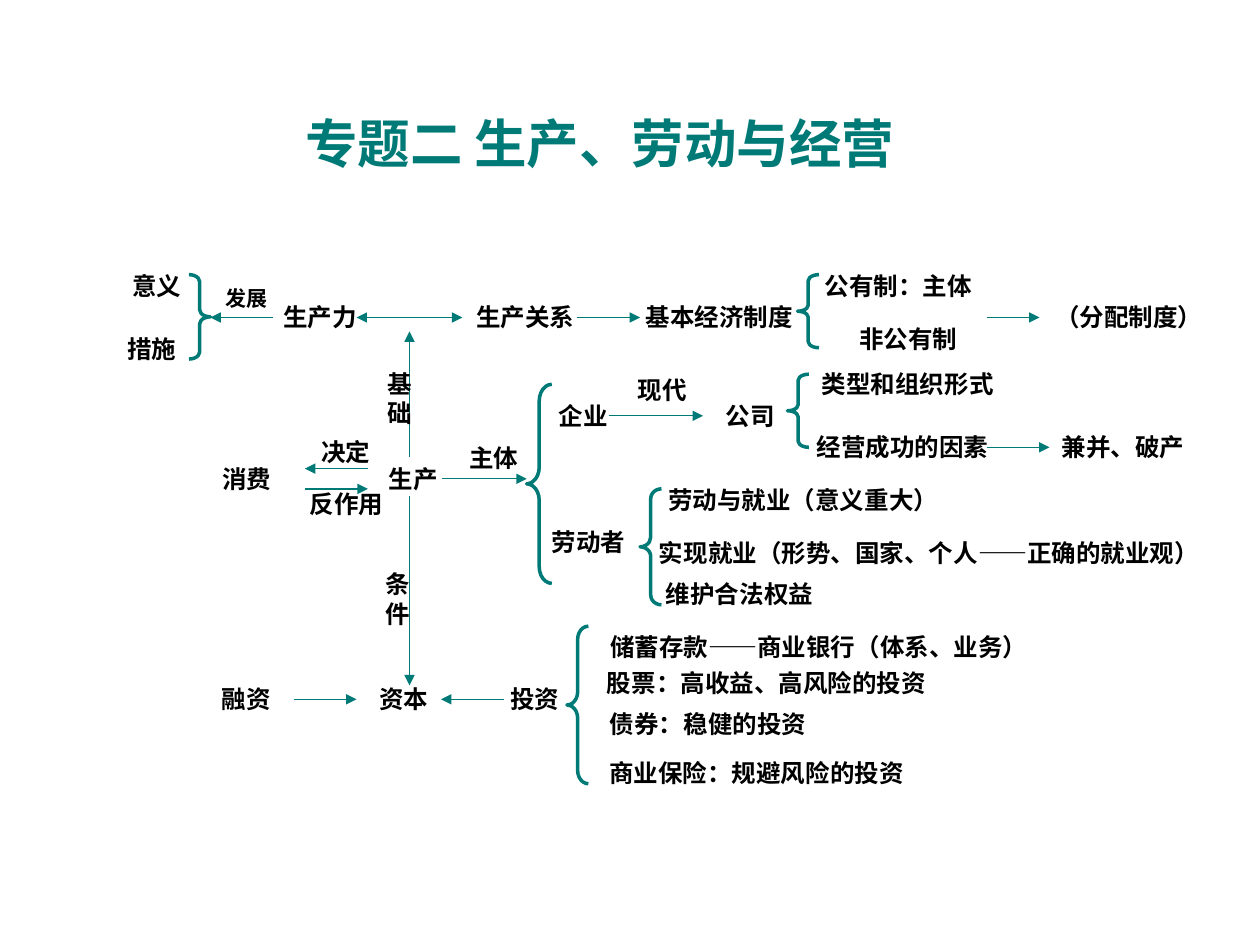
from lxml import etree
from pptx import Presentation
from pptx.dml.color import RGBColor
from pptx.enum.shapes import MSO_CONNECTOR as Connector, MSO_SHAPE as Shape
from pptx.enum.text import MSO_AUTO_SIZE as AutoSize, PP_ALIGN as Align
from pptx.oxml.ns import qn
from pptx.util import Inches, Pt

COLORS = {"teal": "007A77", "text": "000000"}

# Text, left, top, width
LABELS = [
    # Relations of production
    ("意义", 0.83, 2.1, 0.83),
    ("措施", 0.83, 2.6, 0.75),
    ("生产力", 2.08, 2.35, 0.92),
    ("生产关系", 3.67, 2.35, 1),
    ("基本经济制度", 5, 2.35, 1.42),
    ("公有制：主体", 6.42, 2.1, 1.42),
    ("非公有制", 6.5, 2.52, 1.42),
    ("（分配制度）", 8.25, 2.35, 1.42),
    # Production and consumption
    ("消费", 1.5, 3.63, 0.92),
    ("决定", 2.33, 3.42, 0.83),
    ("反作用", 2.25, 3.83, 1),
    ("生产", 2.87, 3.63, 0.82),
    ("主体", 3.51, 3.47, 0.82),
    # Enterprises
    ("企业", 4.25, 3.13, 0.76),
    ("现代", 4.92, 2.93, 0.67),
    ("公司", 5.58, 3.13, 0.75),
    ("类型和组织形式", 6.33, 2.88, 1.75),
    ("经营成功的因素", 6.33, 3.38, 1.67),
    ("兼并、破产", 8.25, 3.38, 1.33),
    # Workers
    ("劳动者", 4.17, 4.13, 1),
    ("劳动与就业（意义重大）", 5, 3.8, 2.75),
    ("实现就业（形势、国家、个人——正确的就业观）", 5, 4.22, 4.75),
    ("维护合法权益", 5.08, 4.55, 1.58),
    # Capital and investment
    ("融资", 1.58, 5.38, 0.75),
    ("资本", 2.83, 5.38, 0.75),
    ("投资", 3.83, 5.38, 0.83),
    ("储蓄存款——商业银行（体系、业务）", 4.5, 4.97, 4),
    ("股票：高收益、高风险的投资", 4.67, 5.25, 2.83),
    ("债券：稳健的投资", 4.58, 5.58, 2.08),
    ("商业保险：规避风险的投资", 4.67, 5.97, 2.67),
]

# Narrow boxes whose two characters stack
STACKED_LABELS = [
    ("基 础", 2.92, 2.88, 0.5),
    ("条 件", 2.87, 4.47, 0.58),
]

# Start x, start y, end x, end y
ARROWS = [
    (2.17, 2.52, 1.67, 2.52),
    (3.25, 2.52, 2.83, 2.52),
    (3.25, 2.52, 3.67, 2.52),
    (4.58, 2.52, 5.08, 2.52),
    (7.83, 2.52, 8.25, 2.52),
    (3.25, 3.63, 3.25, 2.63),
    (3.25, 3.94, 3.25, 5.44),
    (2.92, 3.72, 2.42, 3.72),
    (2.42, 3.88, 2.92, 3.88),
    (3.51, 3.8, 4.18, 3.8),
    (4.83, 3.3, 5.58, 3.3),
    (7.83, 3.55, 8.33, 3.55),
    (2.33, 5.55, 2.83, 5.55),
    (4, 5.55, 3.5, 5.55),
]

# Left, top, width, height
LEFT_BRACES = [
    (6.33, 2.18, 0.17, 0.58),
    (6.25, 2.97, 0.17, 0.58),
    (4.18, 3.05, 0.2, 1.58),
    (5.08, 3.88, 0.17, 0.92),
    (4.5, 4.97, 0.17, 1.25),
]
RIGHT_BRACE = (1.5, 2.18, 0.17, 0.67)


class Diagram:
    """Holds the style and the slide being drawn."""

    def __init__(self, slide):
        self.slide = slide
        self.teal = RGBColor.from_string(COLORS["teal"])
        self.black = RGBColor.from_string(COLORS["text"])

    def text(self, text, left, top, width, height, size, font_name, color):
        box = self.slide.shapes.add_textbox(
            Inches(left), Inches(top), Inches(width), Inches(height))
        frame = box.text_frame
        frame.word_wrap = True
        frame.auto_size = AutoSize.SHAPE_TO_FIT_TEXT
        paragraph = frame.paragraphs[0]
        paragraph.text = text
        paragraph.alignment = Align.CENTER
        font = paragraph.font
        font.name = font_name
        font.size = Pt(size)
        font.bold = True
        font.color.rgb = color

    def title(self, text, left, top, width):
        self.text(text, left, top, width, 0.6, 30, "Arial", self.teal)

    def label(self, text, left, top, width, height=0.34, size=14):
        self.text(text, left, top, width, height, size, "Times New Roman", self.black)

    def arrow(self, *ends):
        arrow = self.slide.shapes.add_connector(
            Connector.STRAIGHT, *(Inches(value) for value in ends))
        arrow.line.color.rgb = self.teal
        arrow.line.width = Pt(0.75)
        line = arrow.line._get_or_add_ln()
        etree.SubElement(line, qn("a:tailEnd"), type="triangle")
        etree.SubElement(arrow._element.spPr, qn("a:effectLst"))

    def brace(self, kind, left, top, width, height):
        """Draw a brace whose curves each take a twelfth of its height."""
        brace = self.slide.shapes.add_shape(
            kind, Inches(left), Inches(top), Inches(width), Inches(height))
        brace.adjustments[0] = height / 12 / width
        brace.shadow.inherit = False
        brace.fill.background()
        brace.line.color.rgb = self.teal
        brace.line.width = Pt(2)


def main():
    presentation = Presentation()
    presentation.slide_width = Inches(10)
    presentation.slide_height = Inches(7.5)
    diagram = Diagram(presentation.slides.add_slide(presentation.slide_layouts[6]))

    for bounds in LEFT_BRACES:
        diagram.brace(Shape.LEFT_BRACE, *bounds)
    diagram.brace(Shape.RIGHT_BRACE, *RIGHT_BRACE)
    for ends in ARROWS:
        diagram.arrow(*ends)
    for label in LABELS:
        diagram.label(*label)
    for label in STACKED_LABELS:
        diagram.label(*label, height=0.57)
    diagram.label("发展", 1.58, 2.22, 0.75, height=0.3, size=12)
    diagram.title("专题二 生产、劳动与经营", 2.1, 0.83, 5.32)

    presentation.save("out.pptx")


if __name__ == "__main__":
    main()
